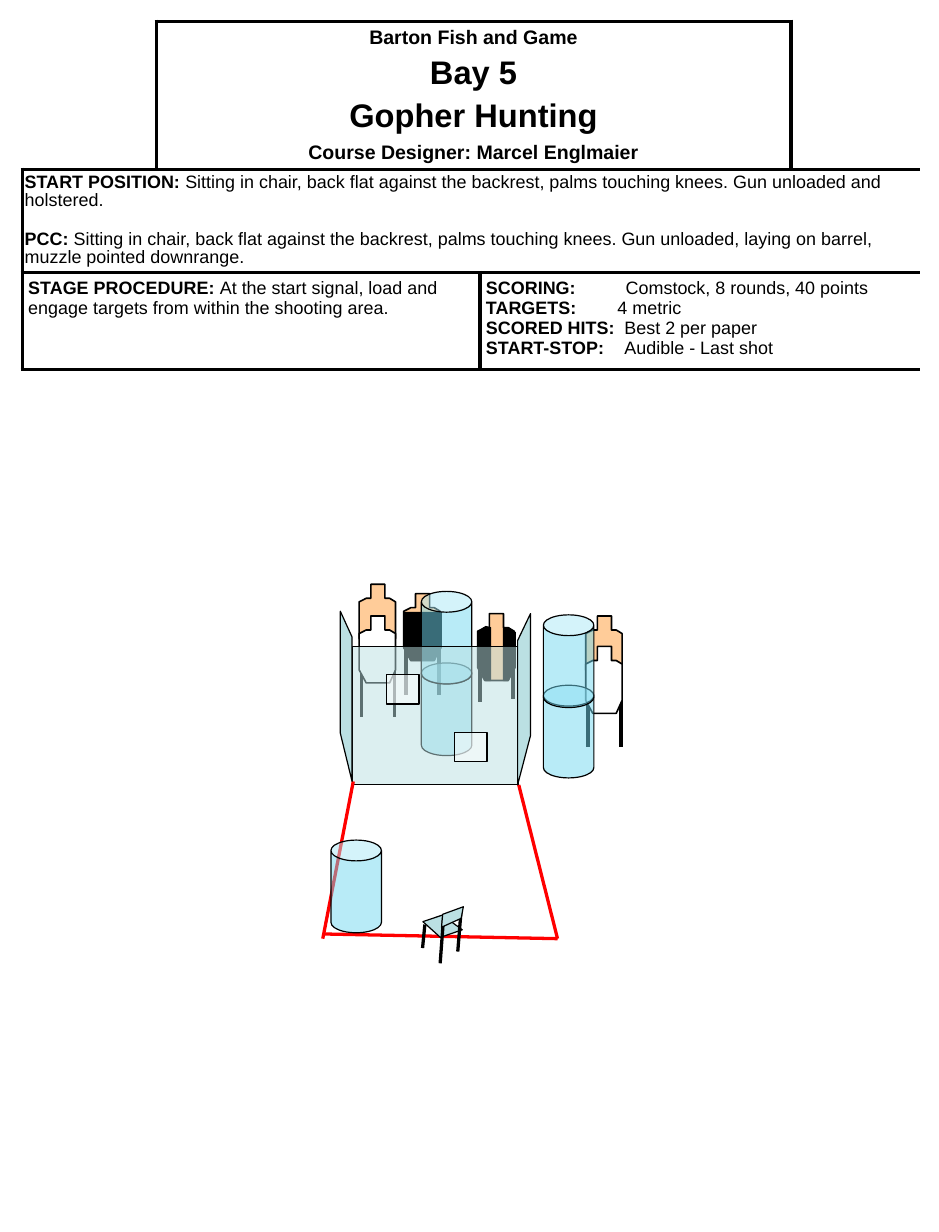
from pptx import Presentation
from pptx.dml.color import RGBColor
from pptx.enum import shapes, text
from pptx.oxml.ns import qn
from pptx.util import Inches, Pt
from lxml import etree

THEME = {
    "font": "Arial", "body": 11, "label": 12, "title": 20,
    "black": "000000", "white": "FFFFFF", "red": "FF0000",
    "tan": "FFCC99", "wall": "BBE0E3", "barrel": "73D9F1",
    "border": 2.25, "leg": 2.25, "line": 2, "outline": 0.75, "edge": 1,
}

# Content: one paragraph is (runs, options), one run is (words, bold)
HEADING = [
    ([("Barton Fish and Game", True)], {"size": "label"}),
    ([("Bay 5", True)], {"size": "title", "before": 4}),
    ([("Gopher Hunting", True)], {"size": "title", "before": 4}),
    ([("Course Designer: Marcel Englmaier", True)], {"size": "label", "before": 4.2}),
]
START = [
    ([("START POSITION: ", True),
      ("Sitting in chair, back flat against the backrest, palms touching knees. "
       "Gun unloaded and holstered.", False)], {"spacing": 0.9}),
    ([("PCC: ", True),
      ("Sitting in chair, back flat against the backrest, palms touching knees. "
       "Gun unloaded, laying on barrel, muzzle pointed downrange.", False)],
     {"spacing": 0.9, "before": 13}),
]
PROCEDURE = [
    ([("STAGE PROCEDURE: ", True),
      ("At the start signal, load and engage targets from within the shooting area.",
       False)], {}),
]
SCORING = [
    ([(label + "\t", True), (value, False)], {"tab": tab})
    for label, value, tab in [
        ("SCORING:", "Comstock, 8 rounds, 40 points", 1.19),
        ("TARGETS:", "4 metric", 1.12),
        ("SCORED HITS:", "Best 2 per paper", 1.18),
        ("START-STOP:", "Audible - Last shot", 1.18),
    ]
]
COLUMNS = [1.14, 2.76, 2.65, 1.1]
ROWS = [1.26, 0.88, 0.83]
# row, first column, last column, paragraphs, (side inset, top inset), bordered edges
CELLS = [
    (0, 0, 0, [], (0.05, 0.05), "RB"),
    (0, 1, 2, HEADING, (0.05, 0.05), "LRTB"),
    (0, 3, 3, [], (0.05, 0.05), "LB"),
    (1, 0, 3, START, (0.02, 0.04), "LRTB"),
    (2, 0, 1, PROCEDURE, (0.05, 0.05), "LRTB"),
    (2, 2, 3, SCORING, (0.05, 0.05), "LRTB"),
]

# Target outlines, measured from the target's top left corner
TARGET = [(0.1, 0), (0.22, 0), (0.22, 0.12), (0.26, 0.12), (0.31, 0.15), (0.31, 0.46),
          (0.26, 0.57), (0.06, 0.57), (0, 0.46), (0, 0.15), (0.06, 0.12), (0.1, 0.12)]
LOWER_COVER = [(0, 0.16), (0.32, 0.16), (0.32, 0.46), (0.25, 0.57), (0.06, 0.57), (0, 0.46)]
RIGHT_COVER = [(0.22, 0.12), (0.22, 0.57), (0.26, 0.57), (0.32, 0.46), (0.32, 0.16), (0.26, 0.12)]
LEFT_COVER = [(0.11, 0.12), (0.11, 0.57), (0.07, 0.57), (0.01, 0.46), (0.01, 0.15), (0.07, 0.11)]

deck = Presentation()
deck.slide_width, deck.slide_height = Inches(8), Inches(10.5)
page = deck.slides.add_slide(deck.slide_layouts[6])


def color(name):
    return RGBColor.from_string(THEME[name])


def write(frame, paragraphs):
    for index, (runs, options) in enumerate(paragraphs):
        para = frame.paragraphs[0] if index == 0 else frame.add_paragraph()
        if "tab" in options:
            tabs = etree.SubElement(para._p.get_or_add_pPr(), qn("a:tabLst"))
            etree.SubElement(tabs, qn("a:tab"), pos=str(Inches(options["tab"])), algn="l")
        if "before" in options:
            para.space_before = Pt(options["before"])
        if "spacing" in options:
            para.line_spacing = options["spacing"]
        if paragraphs is HEADING:
            para.alignment = text.PP_ALIGN.CENTER
        for words, bold in runs:
            span = para.add_run()
            span.text = words
            span.font.name, span.font.bold = THEME["font"], bold
            span.font.size = Pt(THEME[options.get("size", "body")])
            span.font.color.rgb = color("black")


def set_borders(cell, edges):
    properties = cell._tc.get_or_add_tcPr()
    for side in "LRTB":
        line = etree.SubElement(properties, qn(f"a:ln{side}"), w=str(Pt(THEME["border"])))
        if side in edges:
            fill = etree.SubElement(line, qn("a:solidFill"))
            etree.SubElement(fill, qn("a:srgbClr"), val=THEME["black"])
        else:
            etree.SubElement(line, qn("a:noFill"))


def paint(shape, fill, width="outline", alpha=None):
    shape.shadow.inherit = False
    shape.fill.solid()
    shape.fill.fore_color.rgb = color(fill)
    shape.line.color.rgb = color("black")
    shape.line.width = Pt(THEME[width])
    if alpha:
        tint = shape.element.spPr.find(".//" + qn("a:srgbClr"))
        etree.SubElement(tint, qn("a:alpha"), val=str(alpha * 1000))


def add_line(start, end, tone="black", width="line"):
    ends = [Inches(value) for value in (*start, *end)]
    line = page.shapes.add_connector(shapes.MSO_CONNECTOR.STRAIGHT, *ends)
    line.line.color.rgb = color(tone)
    line.line.width = Pt(THEME[width])
    etree.SubElement(line.element.spPr, qn("a:effectLst"))


def add_outline(points, fill, width="outline", origin=(0, 0), rotation=0):
    points = [(Inches(origin[0] + x), Inches(origin[1] + y)) for x, y in points]
    builder = page.shapes.build_freeform(*points[0])
    builder.add_line_segments(points[1:], close=True)
    shape = builder.convert_to_shape()
    shape.rotation = rotation
    paint(shape, fill, width)


def add_glass(kind, left, top, width, height, fill):
    shape = page.shapes.add_shape(kind, *map(Inches, (left, top, width, height)))
    paint(shape, fill, alpha=50)
    return shape


def add_target(left, top, fill="tan", covers=(), leg_tops=(0.42, 0.42)):
    for x, y in zip((0.02, 0.3), leg_tops):
        add_line((left + x, top + y), (left + x, top + y + 0.44), width="leg")
    add_outline(TARGET, fill, "edge", (left, top))
    for cover in covers:
        add_outline(cover, "black", origin=(left, top))


def add_barrels(left, *tops):
    for top in tops:
        barrel = add_glass(shapes.MSO_SHAPE.CAN, left, top, 0.43, 0.79, "barrel")
        barrel.adjustments[0] = 0.413


# Stage briefing table
table = page.shapes.add_table(3, 4, Inches(0.19), Inches(0.18),
                              Inches(sum(COLUMNS)), Inches(sum(ROWS))).table
table.first_row = table.horz_banding = False
for column, width in zip(table.columns, COLUMNS):
    column.width = Inches(width)
for row, height in zip(table.rows, ROWS):
    row.height = Inches(height)
for row, first, last, paragraphs, (side, top), edges in CELLS:
    for index in range(first, last + 1):
        inner = ("L" if index > first else "") + ("R" if index < last else "")
        cell = table.cell(row, index)
        set_borders(cell, set(edges) - set(inner))
        cell.fill.solid()
        cell.fill.fore_color.rgb = color("white")
    box = table.cell(row, first)
    if last > first:
        box.merge(table.cell(row, last))
    box.margin_left = box.margin_right = Inches(side)
    box.margin_top = box.margin_bottom = Inches(top)
    if paragraphs is HEADING:
        box.vertical_anchor = text.MSO_ANCHOR.MIDDLE
    write(box.text_frame, paragraphs)

# Targets and barrels behind the front wall
add_target(3.44, 5.06, covers=[LOWER_COVER])
add_target(4.07, 5.23, covers=[RIGHT_COVER, LEFT_COVER], leg_tops=(0.31, 0.29))
add_barrels(3.59, 5.65, 5.04)
add_target(3.06, 4.98)
add_target(3.06, 5.25, "white")

# Front wall with two ports, and the shooting area
add_line((4.75, 8), (4.42, 6.69), "red")
add_glass(shapes.MSO_SHAPE.RECTANGLE, 3, 5.51, 1.42, 1.18, "wall")
for left, top in [(3.29, 5.75), (3.87, 6.24)]:
    add_glass(shapes.MSO_SHAPE.RECTANGLE, left, top, 0.28, 0.25, "white")
add_line((2.75, 8), (3.01, 6.66), "red")
add_line((4.75, 8), (2.75, 7.96), "red")

# Chair
add_outline([(3.6, 7.87), (3.76, 7.99), (3.94, 7.91), (3.76, 7.8)], "wall", rotation=5)
for start, end in [((3.78, 7.81), (3.75, 8.21)), ((3.62, 7.88), (3.6, 8.08)),
                   ((3.93, 7.74), (3.9, 8.11))]:
    add_line(start, end)
add_outline([(3.77, 7.8), (3.94, 7.72), (3.93, 7.82), (3.77, 7.91)], "wall", rotation=5)

# Right-hand target pair and barrels
add_target(4.99, 5.25)
add_target(4.99, 5.51, "white")
add_barrels(4.63, 5.84, 5.24)

# Side walls and the barrel beside the chair
add_outline([(4.41, 6.69), (4.41, 5.46), (4.52, 5.23), (4.52, 6.27)], "wall")
add_outline([(3, 6.66), (3, 5.43), (2.9, 5.21), (2.9, 6.25)], "wall")
add_barrels(2.82, 7.16)

deck.save("out.pptx")
